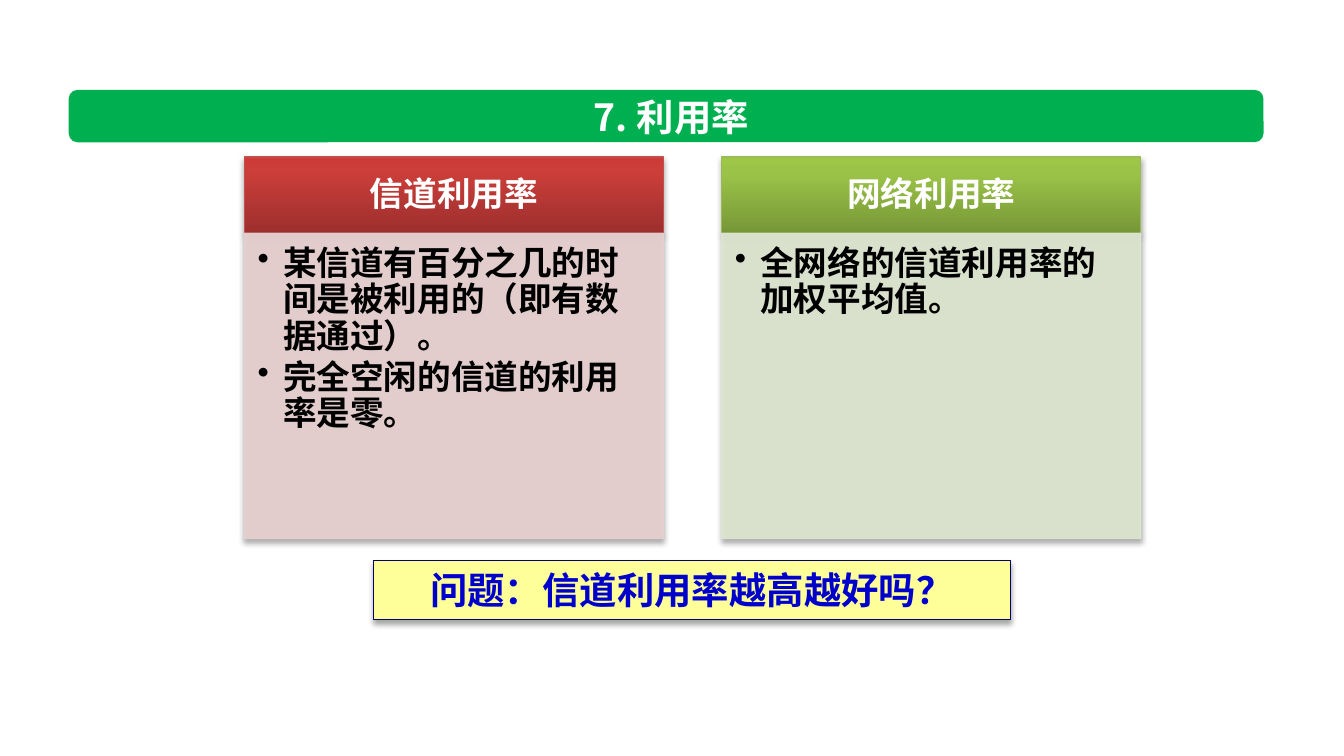
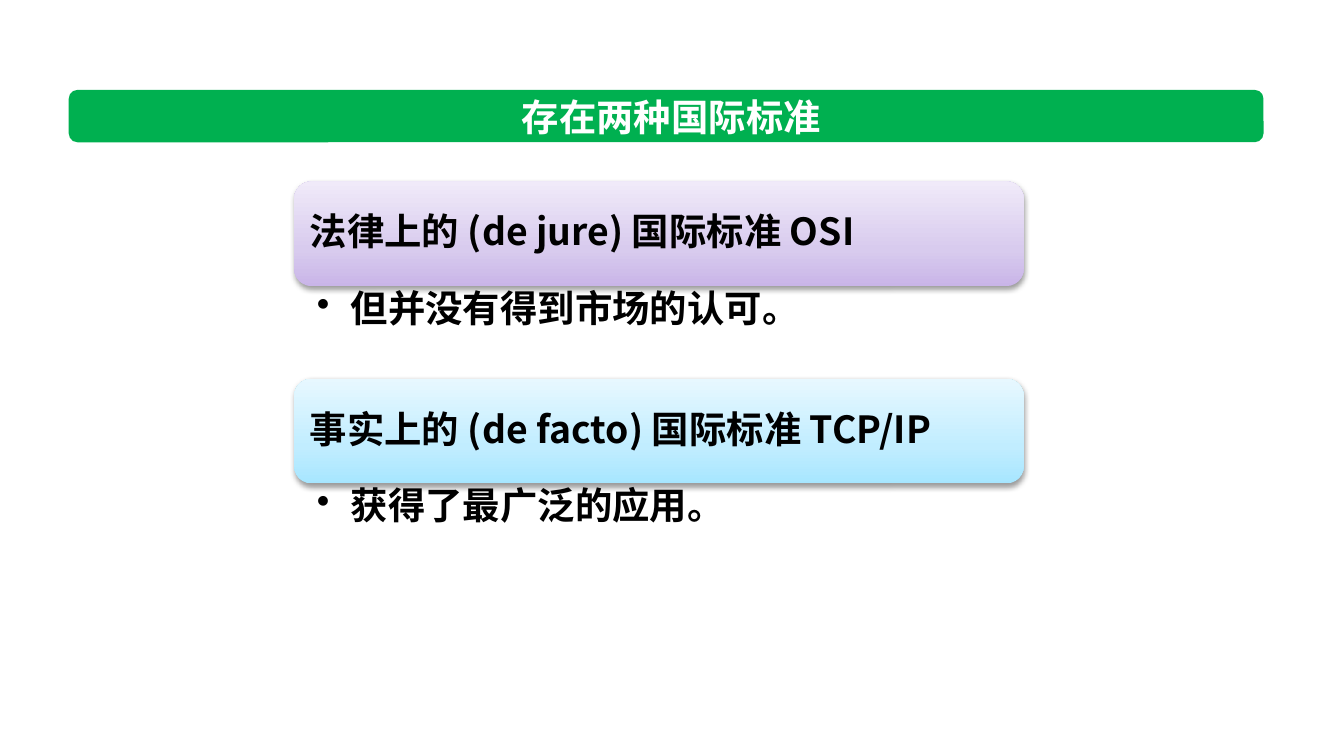
from dataclasses import dataclass
from typing import NamedTuple

from lxml.etree import SubElement
from pptx import Presentation
from pptx.dml.color import RGBColor
from pptx.enum.shapes import MSO_SHAPE
from pptx.enum.text import MSO_ANCHOR, MSO_AUTO_SIZE, PP_ALIGN
from pptx.oxml.ns import qn
from pptx.shapes.autoshape import Shape
from pptx.slide import Slide
from pptx.util import Cm, Pt

FONT = "Noto Sans CJK SC"
COLOURS = {
    "band": "00B050",
    "white": "FFFFFF",
    "black": "000000",
    "note": "FFFF99",
    "note_line": "000066",
    "note_text": "0000CC",
    "red_line": "C0504D",
    "red_pale": "E8D0D0",
    "green_line": "9BBB59",
    "green_pale": "DEE7D1",
}
# Gradient stops run from the bottom edge to the top edge.
GRADIENTS = {
    "red": ((0, "9C2F2D"), (80, "CB3E3A"), (100, "CE3B37")),
    "green": ((0, "779737"), (80, "9BC348"), (100, "9DC746")),
    "purple": ((0, "C9B5E8"), (35, "D8CBEE"), (100, "F0EAF9")),
    "blue": ((0, "A7E6FF"), (35, "C1EDFF"), (100, "E7F8FF")),
}


class Box(NamedTuple):
    """Position and size in centimetres."""
    left: float
    top: float
    width: float
    height: float


class Insets(NamedTuple):
    """Text margins in centimetres."""
    left: float = 0.25
    top: float = 0.13
    right: float = 0.25
    bottom: float = 0.13


@dataclass(frozen=True)
class Card:
    heading: str
    points: tuple[str, ...]
    theme: str


@dataclass(frozen=True)
class Standard:
    name: str
    remark: str
    theme: str


BAND = Box(1.3, 1.7, 22.58, 0.99)
TITLE = Box(3.48, 1.7, 18.42, 0.99)
QUESTION = Box(7.06, 10.59, 12.04, 1.12)
CARD_HEADING = Box(4.62, 2.97, 7.92, 1.44)
CARD_BODY_HEIGHT = 5.77
CARD_STEP = 9.02
STANDARD = Box(5.56, 3.43, 13.79, 1.98)
REMARK_HEIGHT = 1.75
STANDARD_STEP = 3.73

CARDS = (
    Card("信道利用率",
         ("某信道有百分之几的时间是被利用的（即有数据通过）。",
          "完全空闲的信道的利用率是零。"), "red"),
    Card("网络利用率", ("全网络的信道利用率的加权平均值。",), "green"),
)
STANDARDS = (
    Standard("法律上的 (de jure) 国际标准 OSI", "但并没有得到市场的认可。", "purple"),
    Standard("事实上的 (de facto) 国际标准 TCP/IP", "获得了最广泛的应用。", "blue"),
)


def colour(name: str) -> RGBColor:
    return RGBColor.from_string(COLOURS[name])


def place(box: Box) -> tuple[Cm, ...]:
    return tuple(Cm(length) for length in box)


def set_alpha(fill_owner, percent: int) -> None:
    """Make every solid colour below the element partly transparent."""
    for tint in fill_owner.iter(qn("a:srgbClr")):
        SubElement(tint, qn("a:alpha"), val=str(percent * 1000))


def set_gradient(shape: Shape, theme: str) -> None:
    shape.fill.gradient()
    shape.fill.gradient_angle = 90
    stops = shape._element.spPr.find(f".//{qn('a:gsLst')}")
    for stop in list(stops):
        stops.remove(stop)
    for position, tint in GRADIENTS[theme]:
        stop = SubElement(stops, qn("a:gs"), pos=str(position * 1000))
        SubElement(stop, qn("a:srgbClr"), val=tint)


def add_shadow(shape: Shape, opacity: int, distance: float) -> None:
    effects = shape._element.spPr.find(qn("a:effectLst"))
    shadow = SubElement(effects, qn("a:outerShdw"), blurRad=str(Pt(3.1)),
                        dist=str(Pt(distance)), dir="5400000", rotWithShape="0")
    tint = SubElement(shadow, qn("a:srgbClr"), val=COLOURS["black"])
    SubElement(tint, qn("a:alpha"), val=str(opacity * 1000))


def add_panel(page: Slide, box: Box, *, fill: str = "", gradient: str = "",
              line: str = "", alpha: int = 100, rounded: bool = False) -> Shape:
    kind = MSO_SHAPE.ROUNDED_RECTANGLE if rounded else MSO_SHAPE.RECTANGLE
    panel = page.shapes.add_shape(kind, *place(box))
    panel.shadow.inherit = False
    if gradient:
        set_gradient(panel, gradient)
    else:
        panel.fill.solid()
        panel.fill.fore_color.rgb = colour(fill)
    if line:
        panel.line.color.rgb = colour(line)
        panel.line.width = Pt(0.75)
    else:
        panel.line.fill.background()
    if alpha < 100:
        set_alpha(panel._element.spPr, alpha)
    return panel


def write_text(shape: Shape, *texts: str, size: int, tint: str = "black",
               align: PP_ALIGN = PP_ALIGN.LEFT,
               anchor: MSO_ANCHOR = MSO_ANCHOR.MIDDLE,
               insets: Insets = Insets(), spacing: float = 1.0,
               after: float = 0, bullet_indent: float = 0) -> None:
    frame = shape.text_frame
    frame.word_wrap = True
    frame.vertical_anchor = anchor
    frame.margin_left, frame.margin_top, frame.margin_right, frame.margin_bottom = (
        Cm(inset) for inset in insets)
    for index, text in enumerate(texts):
        para = frame.add_paragraph() if index else frame.paragraphs[0]
        para.alignment = align
        para.line_spacing = spacing
        para.space_after = Pt(after)
        if bullet_indent:
            para.level = 1
            properties = para._p.get_or_add_pPr()
            properties.set("marL", str(Cm(bullet_indent)))
            properties.set("indent", str(-Cm(bullet_indent)))
            SubElement(properties, qn("a:buChar"), char="•")
        span = para.add_run()
        span.text = text
        span.font.size = Pt(size)
        span.font.bold = True
        span.font.color.rgb = colour(tint)
        span.font.name = FONT
        SubElement(span._r.get_or_add_rPr(), qn("a:ea"), typeface=FONT)


def add_page(deck: Presentation, title: str) -> Slide:
    """Add a blank slide with the green title band."""
    page = deck.slides.add_slide(deck.slide_layouts[6])
    add_panel(page, BAND, fill="band", rounded=True)
    heading = page.shapes.add_textbox(*place(TITLE))
    write_text(heading, title, size=20, tint="white", align=PP_ALIGN.CENTER)
    return page


def add_card(page: Slide, card: Card, left: float) -> None:
    heading_box = CARD_HEADING._replace(left=left)
    body_box = heading_box._replace(top=heading_box.top + heading_box.height,
                                    height=CARD_BODY_HEIGHT)
    heading = add_panel(page, heading_box, gradient=card.theme,
                        line=f"{card.theme}_line")
    write_text(heading, card.heading, size=18, tint="white", spacing=0.9,
               align=PP_ALIGN.CENTER, insets=Insets(0.36, 0.2, 0.36, 0.2))
    pale = f"{card.theme}_pale"
    body = add_panel(page, body_box, fill=pale, line=pale, alpha=90)
    write_text(body, *card.points, size=18, anchor=MSO_ANCHOR.TOP, spacing=0.9,
               after=2.5, bullet_indent=0.48,
               insets=Insets(0.25, 0.25, 0.36, 0.41))
    for panel in (heading, body):
        add_shadow(panel, 35, 1.8)


def add_standard(page: Slide, standard: Standard, top: float) -> None:
    name_box = STANDARD._replace(top=top)
    remark_box = name_box._replace(top=top + name_box.height, height=REMARK_HEIGHT)
    name = add_panel(page, name_box, gradient=standard.theme, rounded=True)
    add_shadow(name, 38, 1.6)
    write_text(name, standard.name, size=20, spacing=0.9,
               insets=Insets(0.2, 0.2, 0.2, 0.2))
    remark = page.shapes.add_textbox(*place(remark_box))
    write_text(remark, standard.remark, size=20, anchor=MSO_ANCHOR.TOP,
               spacing=0.9, bullet_indent=0.64,
               insets=Insets(0.43, 0.08, 0.41, 0.08))


def add_utilisation_page(deck: Presentation) -> None:
    page = add_page(deck, "7. 利用率")
    for index, card in enumerate(CARDS):
        add_card(page, card, CARD_HEADING.left + index * CARD_STEP)
    question = add_panel(page, QUESTION, fill="note", line="note_line")
    add_shadow(question, 35, 1.8)
    write_text(question, "问题：信道利用率越高越好吗？", size=20, tint="note_text",
               align=PP_ALIGN.CENTER, anchor=MSO_ANCHOR.TOP)
    question.text_frame.auto_size = MSO_AUTO_SIZE.SHAPE_TO_FIT_TEXT


def add_standards_page(deck: Presentation) -> None:
    page = add_page(deck, "存在两种国际标准")
    for index, standard in enumerate(STANDARDS):
        add_standard(page, standard, STANDARD.top + index * STANDARD_STEP)


def main() -> None:
    deck = Presentation()
    deck.slide_width, deck.slide_height = Cm(25.4), Cm(14.29)
    add_utilisation_page(deck)
    add_standards_page(deck)
    deck.save("out.pptx")


if __name__ == "__main__":
    main()
